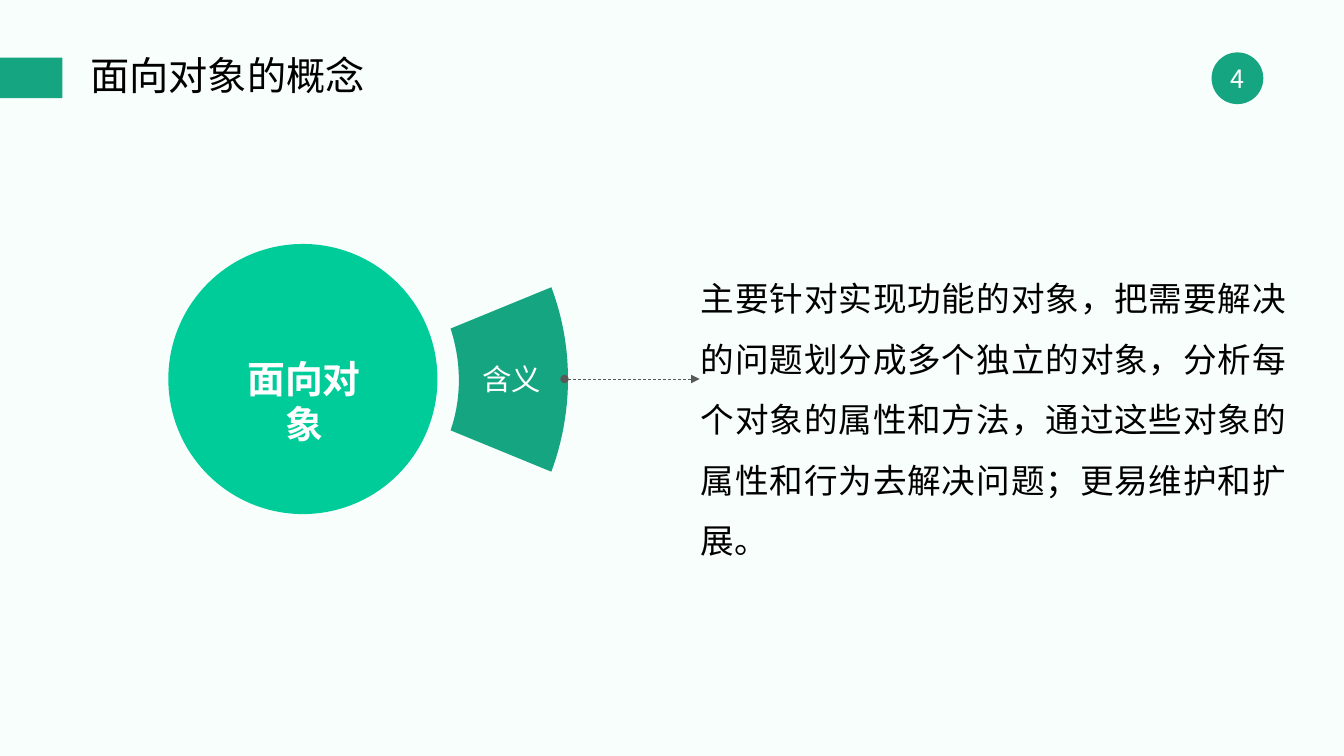
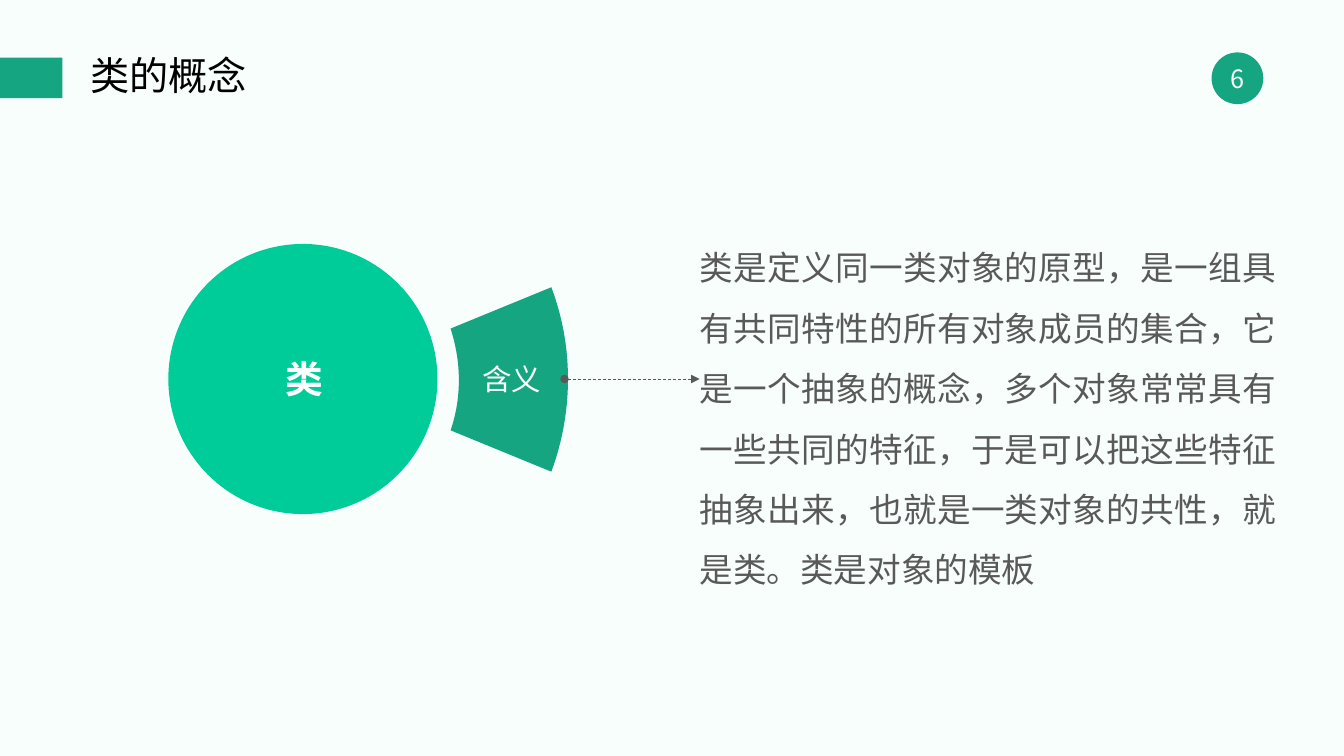
"""Build two concept slides on a grid of 80 columns by 45 rows."""
from dataclasses import dataclass

from lxml.etree import SubElement
from pptx import Presentation
from pptx.dml.color import RGBColor
from pptx.enum.dml import MSO_LINE
from pptx.enum.shapes import MSO_CONNECTOR, MSO_SHAPE
from pptx.enum.text import MSO_ANCHOR, PP_ALIGN
from pptx.oxml.ns import qn
from pptx.util import Inches, Pt


@dataclass(frozen=True)
class Theme:
    """Colours, font and type sizes."""
    background: str = "F8FEFC"
    accent: str = "15A681"
    bright: str = "00CC99"
    ink: str = "000000"
    gray: str = "595959"
    white: str = "FFFFFF"
    font: str = "Noto Sans CJK SC"
    title: int = 28
    name: int = 27
    body: int = 24
    label: int = 21
    number: int = 18


THEME = Theme()
COLUMNS, ROWS = 80, 45
CELL = Inches(1) / 6

SLIDES = [
    {"number": "4", "title": "面向对象的概念", "name": "面向对象", "label": "含义",
     "meaning": "主要针对实现功能的对象，把需要解决的问题划分成多个独立的对象，"
                "分析每个对象的属性和方法，通过这些对象的属性和行为去解决问题；更易维护和扩展。",
     "area": (41.7, 15.36, 34.86, 18), "color": THEME.ink},
    {"number": "6", "title": "类的概念", "name": "类", "label": "含义",
     "meaning": "类是定义同一类对象的原型，是一组具有共同特性的所有对象成员的集合，"
                "它是一个抽象的概念，多个对象常常具有一些共同的特征，于是可以把这些特征抽象出来，"
                "也就是一类对象的共性，就是类。类是对象的模板",
     "area": (41.64, 13.5, 34.32, 21.8), "color": THEME.gray},
]

BAND = (0, 3.44, 3.72, 2.4)
BADGE = (72.12, 3.12, 3.08, 3.08)
TITLE = (4.8, 3.12, 44.7, 3.08)
CIRCLE = (10.02, 14.52, 16.02, 16.08)
NAME = (14.1, 21.18, 8, 3)
LABEL = (27.9, 21.48, 5.1, 2.1)
ARROW = (33.6, 22.56, 41.64, 22.56)
OUTER_ARC = [(32.82, 17.1), (34.2, 20.76), (34.08, 24.66), (32.82, 28.08)]
INNER_ARC = [(26.82, 25.62), (27.48, 23.7), (27.48, 21.6), (26.82, 19.56)]


def grid(*lengths):
    """Turn grid units into slide lengths."""
    return [round(length * CELL) for length in lengths]


def rgb(color):
    """Read a hexadecimal colour."""
    return RGBColor.from_string(color)


def paint(shape, color):
    """Give a shape a plain fill with no line or shadow."""
    shape.shadow.inherit = False
    shape.fill.solid()
    shape.fill.fore_color.rgb = rgb(color)
    shape.line.fill.background()
    return shape


def add_solid(slide, kind, area, color):
    """Add a plain preset shape."""
    return paint(slide.shapes.add_shape(kind, *grid(*area)), color)


def write(shape, text, *, size, color=THEME.white, bold=False, align=PP_ALIGN.CENTER,
          anchor=MSO_ANCHOR.TOP, spacing=1.0, inset=0):
    """Write one formatted paragraph in a shape."""
    frame = shape.text_frame
    frame.word_wrap = True
    frame.vertical_anchor = anchor
    frame.margin_left = frame.margin_right = Inches(inset)
    frame.margin_top = frame.margin_bottom = 0
    paragraph = frame.paragraphs[0]
    paragraph.alignment = align
    paragraph.line_spacing = spacing
    run = paragraph.add_run()
    run.text = text
    run.font.size, run.font.bold, run.font.name = Pt(size), bold, THEME.font
    run.font.color.rgb = rgb(color)
    SubElement(run._r.get_or_add_rPr(), qn("a:ea"), typeface=THEME.font)


def add_text(slide, area, text, **style):
    """Add a text box."""
    write(slide.shapes.add_textbox(*grid(*area)), text, **style)


def curve(points, steps=24):
    """Sample a cubic curve."""
    for step in range(steps + 1):
        t = step / steps
        weights = ((1 - t) ** 3, 3 * t * (1 - t) ** 2, 3 * t * t * (1 - t), t ** 3)
        yield grid(*(sum(weight * point[axis] for weight, point in zip(weights, points))
                     for axis in (0, 1)))


def add_sector(slide):
    """Add the ring sector beside the circle."""
    start, *rest = [*curve(OUTER_ARC), *curve(INNER_ARC)]
    builder = slide.shapes.build_freeform(*start)
    builder.add_line_segments(rest, close=True)
    paint(builder.convert_to_shape(), THEME.accent)


def add_arrow(slide):
    """Add the dashed arrow to the meaning."""
    arrow = slide.shapes.add_connector(MSO_CONNECTOR.STRAIGHT, *grid(*ARROW))
    arrow.line.color.rgb = rgb(THEME.gray)
    arrow.line.width = Pt(0.5)
    arrow.line.dash_style = MSO_LINE.DASH
    outline = arrow.line._get_or_add_ln()
    SubElement(outline, qn("a:headEnd"), type="oval")
    SubElement(outline, qn("a:tailEnd"), type="triangle")
    SubElement(arrow._element.spPr, qn("a:effectLst"))


def add_header(slide, title, number):
    """Add the band, title and page number."""
    badge = add_solid(slide, MSO_SHAPE.OVAL, BADGE, THEME.accent)
    write(badge, number, size=THEME.number, anchor=MSO_ANCHOR.MIDDLE)
    add_solid(slide, MSO_SHAPE.RECTANGLE, BAND, THEME.accent)
    add_text(slide, TITLE, title, size=THEME.title, color=THEME.ink, align=PP_ALIGN.LEFT,
             anchor=MSO_ANCHOR.MIDDLE, spacing=0.9, inset=0.1)


def add_concept(slide, content):
    """Add the concept, its label and its meaning."""
    add_text(slide, content["area"], content["meaning"], size=THEME.body,
             color=content["color"], align=PP_ALIGN.JUSTIFY, spacing=1.5)
    add_sector(slide)
    add_solid(slide, MSO_SHAPE.OVAL, CIRCLE, THEME.bright)
    add_arrow(slide)
    add_text(slide, NAME, content["name"], size=THEME.name, bold=True)
    add_text(slide, LABEL, content["label"], size=THEME.label)


def main():
    """Build and save the presentation."""
    presentation = Presentation()
    presentation.slide_width, presentation.slide_height = grid(COLUMNS, ROWS)
    background = presentation.slide_master.background.fill
    background.solid()
    background.fore_color.rgb = rgb(THEME.background)
    for content in SLIDES:
        slide = presentation.slides.add_slide(presentation.slide_layouts[6])
        add_header(slide, content["title"], content["number"])
        add_concept(slide, content)
    presentation.save("out.pptx")


if __name__ == "__main__":
    main()
